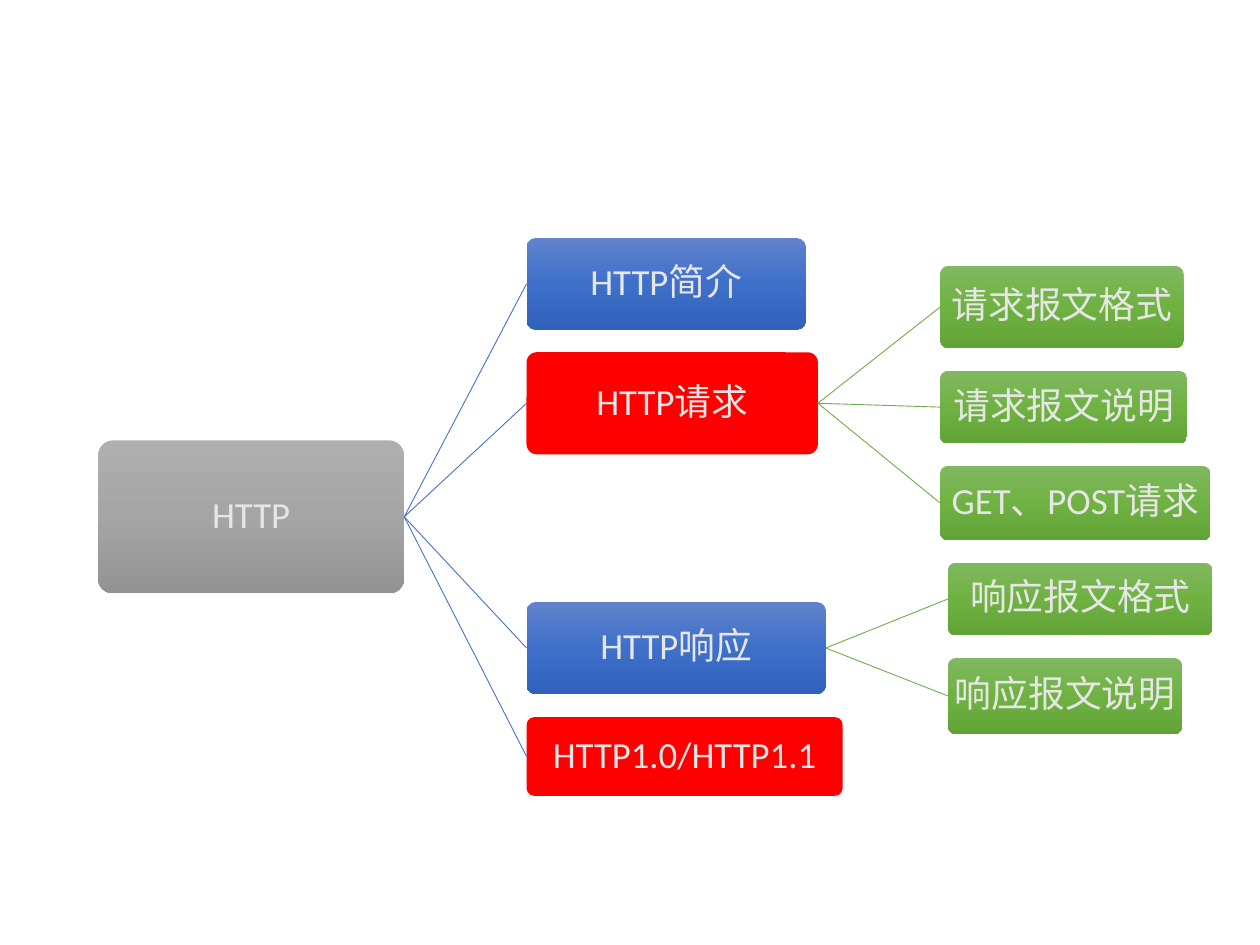
"""Build a slide with a left-to-right topic tree about HTTP."""
import copy

import pptx
import pptx.dml.color
import pptx.enum.shapes
import pptx.enum.text
import pptx.oxml.ns
import pptx.util
from lxml import etree

Pt = pptx.util.Pt
qn = pptx.oxml.ns.qn

COLORS = {
    "text": "E6E6E6",
    "topic_line": "4472C4",
    "detail_line": "70AD47",
}
FILLS = {
    "root": ["AFAFAF", "A5A5A5", "939393"],
    "topic": ["6183CB", "3E70CA", "3062BB"],
    "detail": ["81B861", "6FB242", "62A336"],
    "marked": ["FF0000"],
}
LEVEL_GAP = 69.9
ROOT_LEFT = 56

# Each node: text, fill, top, width, height, children
TREE = ("HTTP", "root", 251.6, 175, 87.5, [
    ("HTTP简介", "topic", 136, 159.6, 52.3, []),
    ("HTTP请求", "marked", 201.3, 166.5, 58.3, [
        ("请求报文格式", "detail", 151.9, 139, 47, []),
        ("请求报文说明", "detail", 212, 141, 41.3, []),
        ("GET、POST请求", "detail", 266.3, 154.3, 42.4, []),
    ]),
    ("HTTP响应", "topic", 344, 171, 52.6, [
        ("响应报文格式", "detail", 321.6, 151, 41.3, []),
        ("响应报文说明", "detail", 376, 133.6, 43.5, []),
    ]),
    ("HTTP1.0/HTTP1.1", "marked", 409.8, 180.6, 45, []),
])


def rgb(value):
    """Turn a hex string into a colour."""
    return pptx.dml.color.RGBColor.from_string(value)


def fill_shape(shape, colors):
    """Fill a shape with one colour or an even top-to-bottom gradient."""
    if len(colors) == 1:
        shape.fill.solid()
        shape.fill.fore_color.rgb = rgb(colors[0])
        return
    shape.fill.gradient()
    shape.fill.gradient_angle = 270
    stops = shape.element.spPr.find(".//" + qn("a:gsLst"))
    while len(stops) < len(colors):
        stops.append(copy.deepcopy(stops[-1]))
    for index, (stop, color) in enumerate(zip(shape.fill.gradient_stops, colors)):
        stop.color.rgb = rgb(color)
        stop.position = index / (len(colors) - 1)


def add_text(shape, text):
    """Put one centred line of text in a shape."""
    frame = shape.text_frame
    frame.word_wrap = True
    frame.vertical_anchor = pptx.enum.text.MSO_ANCHOR.MIDDLE
    frame.margin_left = frame.margin_right = Pt(1)
    frame.margin_top = frame.margin_bottom = Pt(1)
    para = frame.paragraphs[0]
    para.alignment = pptx.enum.text.PP_ALIGN.CENTER
    para.line_spacing = 0.9
    span = para.add_run()
    span.text = text
    span.font.name = "Calibri"
    span.font.size = Pt(21)
    span.font.color.rgb = rgb(COLORS["text"])


def add_box(page, text, fill, left, top, width, height):
    """Add a rounded box with its text."""
    box = page.shapes.add_shape(
        pptx.enum.shapes.MSO_SHAPE.ROUNDED_RECTANGLE,
        Pt(left), Pt(top), Pt(width), Pt(height))
    box.adjustments[0] = 0.1
    box.shadow.inherit = False
    box.line.fill.background()
    fill_shape(box, FILLS[fill])
    add_text(box, text)
    return box


def add_branch(page, parent, child, color):
    """Join the right side of a parent box to the left side of a child."""
    line = page.shapes.add_connector(
        pptx.enum.shapes.MSO_CONNECTOR.STRAIGHT, 0, 0, 0, 0)
    line.begin_connect(parent, 3)
    line.end_connect(child, 1)
    line.line.width = Pt(0.5)
    line.line.color.rgb = rgb(color)
    etree.SubElement(line.element.spPr, qn("a:effectLst"))


def add_node(page, node, left, level=0):
    """Add a node and, one level to the right, its children."""
    text, fill, top, width, height, children = node
    box = add_box(page, text, fill, left, top, width, height)
    color = COLORS["topic_line" if level == 0 else "detail_line"]
    for child in children:
        child_box = add_node(page, child, left + width + LEVEL_GAP, level + 1)
        add_branch(page, box, child_box, color)
    return box


def main():
    """Create the deck and save it."""
    deck = pptx.Presentation()
    deck.slide_width, deck.slide_height = Pt(720), Pt(540)
    page = deck.slides.add_slide(deck.slide_layouts[6])
    add_node(page, TREE, ROOT_LEFT)
    deck.save("out.pptx")


if __name__ == "__main__":
    main()
